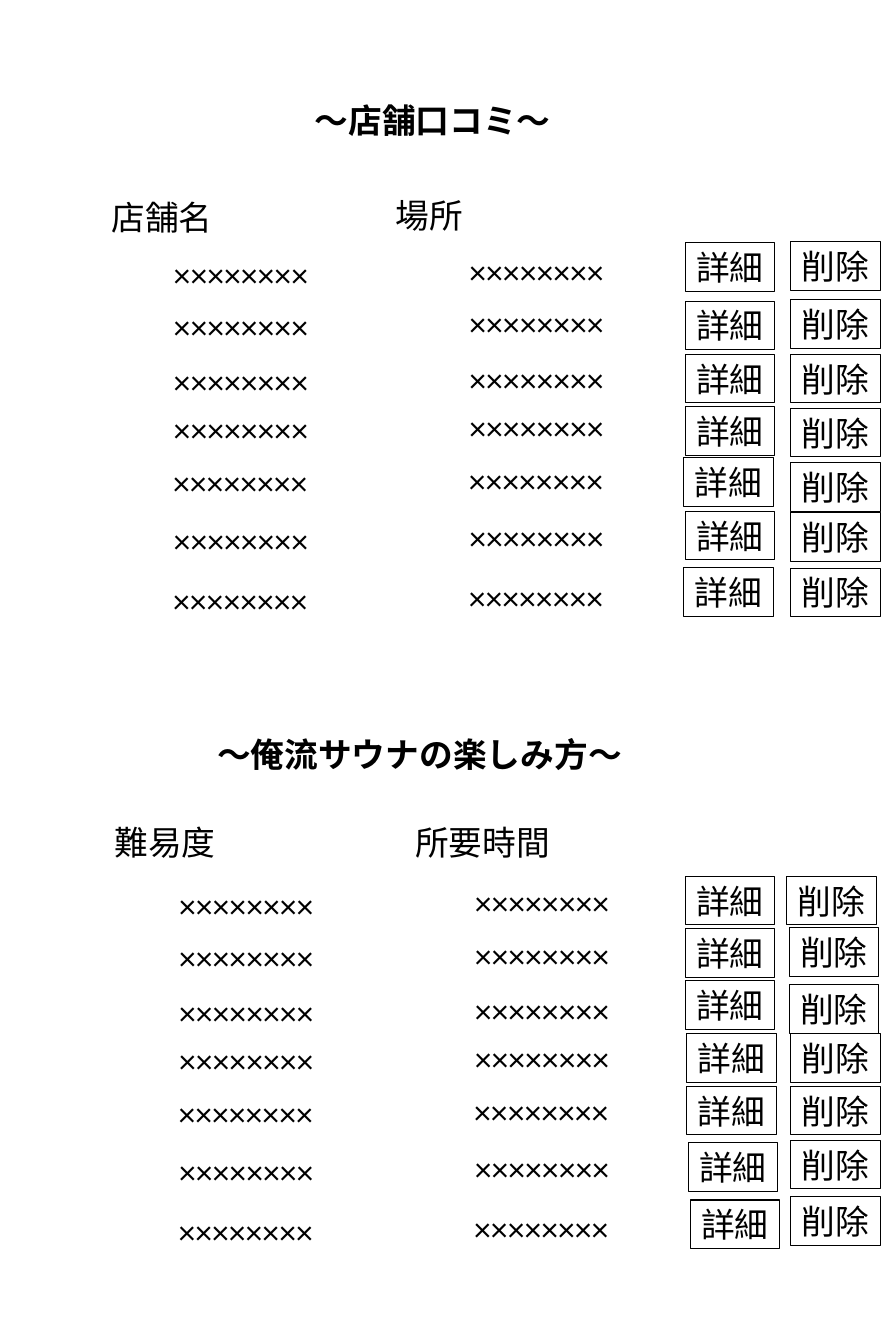
"""Build the admin page listing shop reviews and sauna routines with row buttons."""
from pptx import Presentation
from pptx.dml.color import RGBColor
from pptx.enum import shapes, text
from pptx.util import Cm, Pt

BLACK = RGBColor(0, 0, 0)
CENTER, LEFT = text.PP_ALIGN.CENTER, text.PP_ALIGN.LEFT
HEIGHT = 1.63
COLUMN_W = 9.9
BUTTON_W = 3
SECTION_GAP = 21.13
ROWS = [(3.12, 8.36), (3.12, 10.11), (3.12, 11.96), (3.12, 13.56),
        (3.1, 15.34), (3.12, 17.27), (3.1, 19.28)]
SECTIONS = [
    dict(dx=0, dy=0,
         title=("〜店舗口コミ〜", 9.98, 3.2, 9.02),
         headers=[("店舗名", 3.18, 6.48, 4.5, CENTER), ("場所", 13, 6.4, 4.5, LEFT)],
         details=[(22.94, 8.13), (22.94, 10.08), (22.94, 11.86), (22.94, 13.61),
                  (22.89, 15.32), (22.94, 17.12), (22.89, 19)],
         deletes=[(26.47, 8.1), (26.47, 10.03), (26.47, 11.86), (26.47, 13.67),
                  (26.47, 15.49), (26.47, 17.17), (26.47, 19.02)]),
    dict(dx=0.18, dy=SECTION_GAP,
         title=("〜俺流サウナの楽しみ方〜", 6.76, 24.43, 14.58),
         headers=[("難易度", 3.28, 27.38, 4.5, CENTER), ("所要時間", 13.18, 27.38, 5.97, CENTER)],
         details=[(22.94, 29.34), (22.94, 31.09), (22.94, 32.84), (22.99, 34.62),
                  (22.99, 36.37), (23.04, 38.25), (23.11, 40.18)],
         deletes=[(26.34, 29.34), (26.42, 31.06), (26.42, 32.97), (26.47, 34.62),
                  (26.47, 36.37), (26.47, 38.18), (26.47, 40.06)]),
]

prs = Presentation()
prs.slide_width, prs.slide_height = Cm(30), Cm(45)
s = prs.slides.add_slide(prs.slide_layouts[5])


def write(sp, label, align=CENTER, bold=False, anchor=text.MSO_ANCHOR.TOP,
          fit=text.MSO_AUTO_SIZE.SHAPE_TO_FIT_TEXT):
    tf = sp.text_frame
    tf.word_wrap = True
    tf.auto_size = fit
    tf.vertical_anchor = anchor
    p = tf.paragraphs[0]
    p.alignment = align
    r = p.add_run()
    r.text = label
    r.font.name = "Calibri"
    r.font.size = Pt(32)
    r.font.bold = bold
    r.font.color.rgb = BLACK


def add_label(label, x, y, w, align=CENTER, bold=False):
    sp = s.shapes.add_textbox(Cm(x), Cm(y), Cm(w), Cm(HEIGHT))
    write(sp, label, align, bold)


label, x, y, w = SECTIONS[0]["title"]
title = s.shapes.title
title.left, title.top, title.width, title.height = Cm(x), Cm(y), Cm(w), Cm(HEIGHT)
write(title, label, bold=True)
add_label(*SECTIONS[1]["title"], bold=True)

for section in SECTIONS:
    for header in section["headers"]:
        add_label(*header)
    for x, y in ROWS:
        x, y = x + section["dx"], y + section["dy"]
        add_label("××××××××", x, y, COLUMN_W)
        add_label("××××××××", x + COLUMN_W, y - 0.08, COLUMN_W)
    for label, places in (("詳細", section["details"]), ("削除", section["deletes"])):
        for x, y in places:
            button = s.shapes.add_shape(shapes.MSO_SHAPE.RECTANGLE,
                                        Cm(x), Cm(y), Cm(BUTTON_W), Cm(HEIGHT))
            button.shadow.inherit = False
            button.fill.background()
            button.line.color.rgb = BLACK
            button.line.width = Pt(1)
            write(button, label, anchor=text.MSO_ANCHOR.MIDDLE, fit=text.MSO_AUTO_SIZE.NONE)

prs.save("out.pptx")
